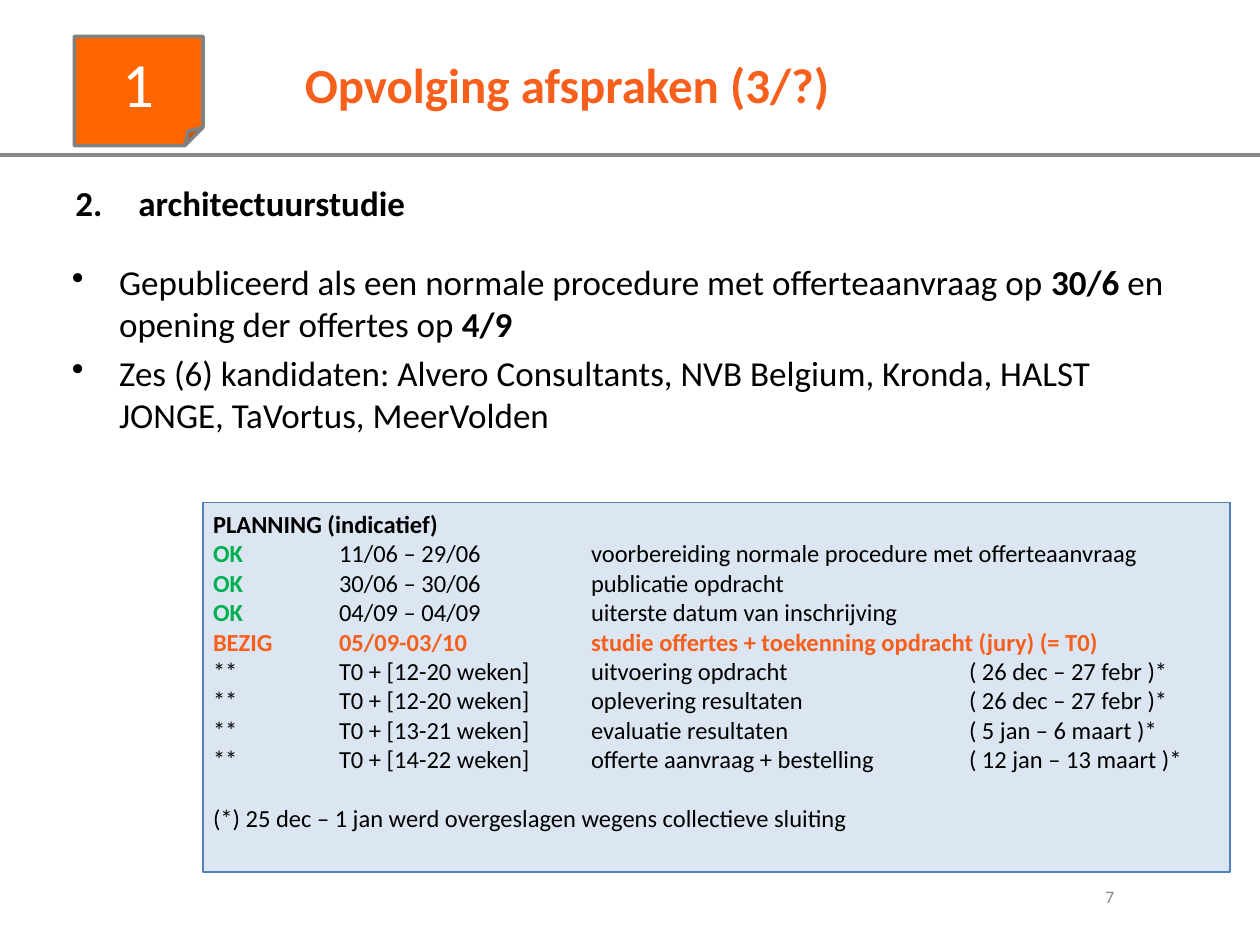
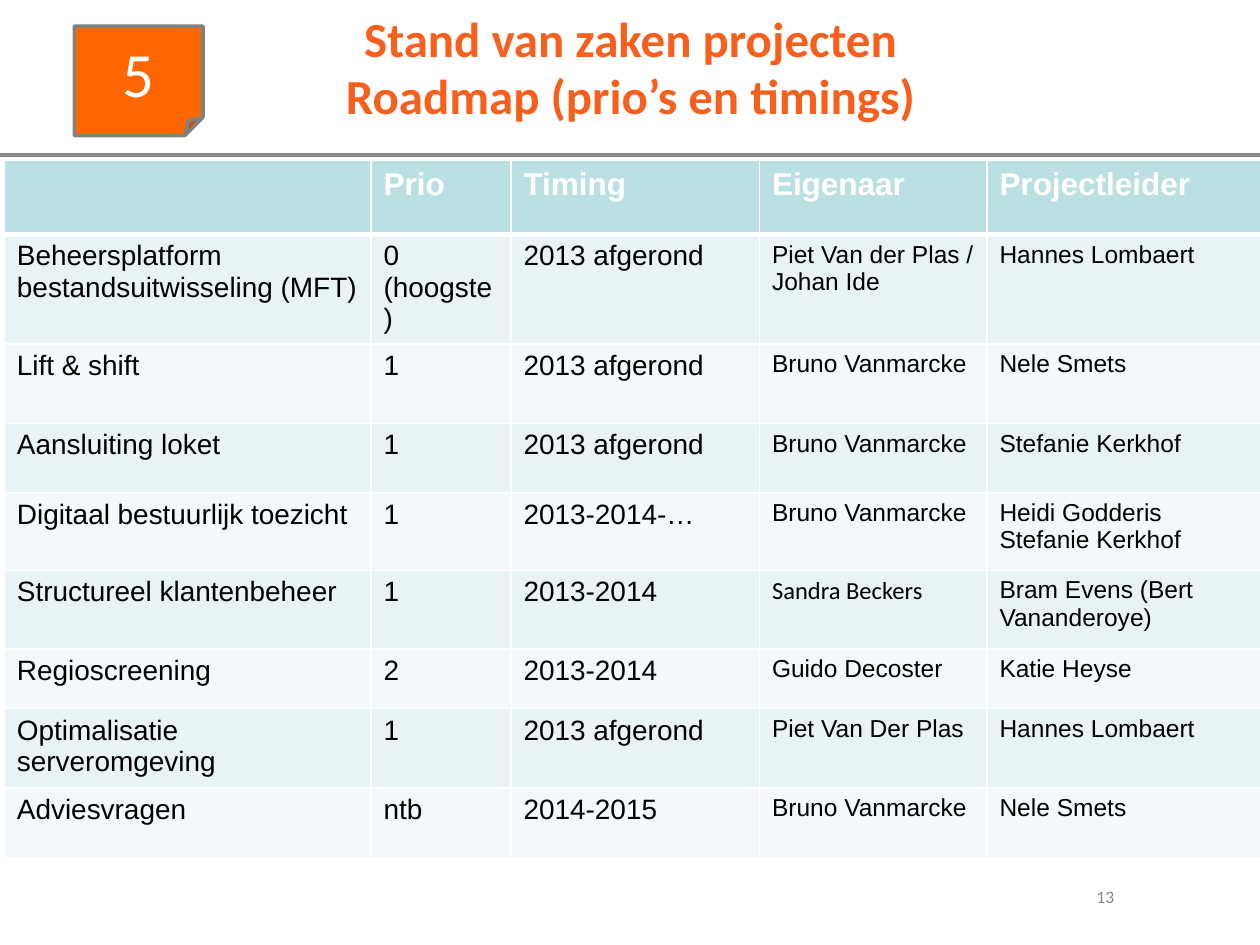
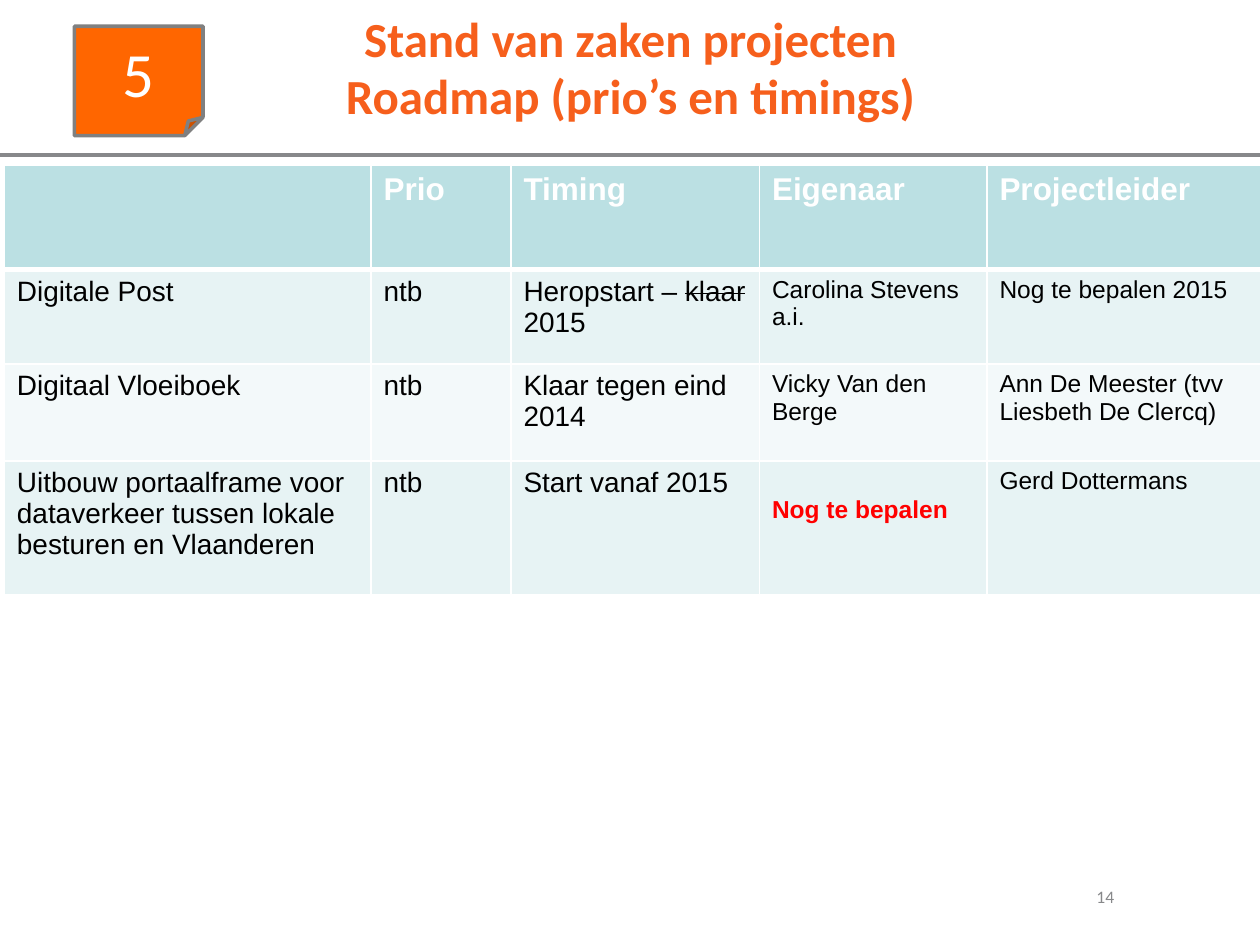
from dataclasses import dataclass

from lxml.etree import SubElement
from pptx import Presentation
from pptx.dml.color import RGBColor
from pptx.enum.shapes import MSO_CONNECTOR as Connector, MSO_SHAPE as Preset
from pptx.enum.text import MSO_ANCHOR as Anchor, MSO_AUTO_SIZE as AutoSize, PP_ALIGN as Align
from pptx.oxml.ns import qn
from pptx.util import Pt


@dataclass(frozen=True)
class Theme:
    font: str = "Calibri"
    table_font: str = "Arial"
    black: str = "000000"
    white: str = "FFFFFF"
    title: str = "F65F1C"
    gray: str = "87888A"
    badge: str = "FF6600"
    badge_line: str = "808080"
    done: str = "00B050"
    alert: str = "FF0000"
    panel: str = "DCE6F2"
    panel_line: str = "4F81BD"
    header_fill: str = "BBE0E3"
    row_fills: tuple = ("E7F3F4", "F3F9FA")
    title_size: float = 28
    badge_size: float = 36
    body_size: float = 20
    plan_size: float = 14
    number_size: float = 10
    header_size: float = 18
    cell_size: float = 16
    name_size: float = 14


THEME = Theme()
COLUMN_WIDTHS = (209.5, 80, 142, 130, 156.5)
HEADERS = ("", "Prio", "Timing", "Eigenaar", "Projectleider")


@dataclass(frozen=True)
class Span:
    text: str
    size: float = THEME.body_size
    color: str = THEME.black
    bold: bool = False
    font: str = THEME.font
    strike: bool = False


TITLE = {"size": THEME.title_size, "color": THEME.title, "bold": True}

PLANNING = (
    ("OK", "11/06 – 29/06", "voorbereiding normale procedure met offerteaanvraag"),
    ("OK", "30/06 – 30/06", "publicatie opdracht"),
    ("OK", "04/09 – 04/09", "uiterste datum van inschrijving"),
    ("BEZIG", "05/09-03/10", "studie offertes + toekenning opdracht (jury) (= T0)"),
    ("**", "T0 + [12-20 weken]", "uitvoering opdracht", "( 26 dec – 27 febr )*"),
    ("**", "T0 + [12-20 weken]", "oplevering resultaten", "( 26 dec – 27 febr )*"),
    ("**", "T0 + [13-21 weken]", "evaluatie resultaten", "( 5 jan – 6 maart )*"),
    ("**", "T0 + [14-22 weken]", "offerte aanvraag + bestelling", "( 12 jan – 13 maart )*"),
)

CURRENT_PROJECTS = (
    ("Beheersplatform bestandsuitwisseling (MFT)", "0 (hoogste)", "2013 afgerond",
     "Piet Van der Plas / Johan Ide", "Hannes Lombaert"),
    ("Lift & shift", "1", "2013 afgerond", "Bruno Vanmarcke", "Nele Smets"),
    ("Aansluiting loket", "1", "2013 afgerond", "Bruno Vanmarcke", "Stefanie Kerkhof"),
    ("Digitaal bestuurlijk toezicht", "1", "2013-2014-…", "Bruno Vanmarcke",
     "Heidi Godderis\nStefanie Kerkhof"),
    ("Structureel klantenbeheer", "1", "2013-2014",
     [Span("Sandra Beckers", THEME.name_size)], "Bram Evens (Bert Vananderoye)"),
    ("Regioscreening", "2", "2013-2014", "Guido Decoster", "Katie Heyse"),
    ("Optimalisatie serveromgeving", "1", "2013 afgerond", "Piet Van Der Plas", "Hannes Lombaert"),
    ("Adviesvragen", "ntb", "2014-2015", "Bruno Vanmarcke", "Nele Smets"),
)

NEW_PROJECTS = (
    ("Digitale Post", "ntb",
     [Span("Heropstart – ", THEME.cell_size, font=THEME.table_font),
      Span("klaar ", THEME.cell_size, font=THEME.table_font, strike=True),
      Span("2015", THEME.cell_size, font=THEME.table_font)],
     "Carolina Stevens a.i.", "Nog te bepalen 2015"),
    ("Digitaal Vloeiboek", "ntb", "Klaar tegen eind 2014", "Vicky Van den Berge",
     "Ann De Meester (tvv Liesbeth De Clercq)"),
    ("Uitbouw portaalframe voor dataverkeer tussen lokale besturen en Vlaanderen", "ntb",
     "Start vanaf 2015",
     [Span("Nog te bepalen", THEME.name_size, THEME.alert, True, THEME.table_font)],
     "Gerd Dottermans"),
)


def rgb(color):
    return RGBColor.from_string(color)


def bounds(left, top, width, height):
    return Pt(left), Pt(top), Pt(width), Pt(height)


def add_spans(para, spans):
    for item in spans:
        span = para.add_run()
        span.text = item.text
        span.font.name = item.font
        span.font.size = Pt(item.size)
        span.font.bold = item.bold
        span.font.color.rgb = rgb(item.color)
        if item.strike:
            span._r.get_or_add_rPr().set("strike", "sngStrike")


def fill_frame(frame, paragraphs, align=Align.LEFT, anchor=Anchor.TOP):
    frame.word_wrap = True
    frame.auto_size = AutoSize.NONE
    frame.vertical_anchor = anchor
    for index, spans in enumerate(paragraphs):
        para = frame.add_paragraph() if index else frame.paragraphs[0]
        para.alignment = align
        add_spans(para, spans)
    return frame


def add_text(page, box, paragraphs, align=Align.LEFT, anchor=Anchor.TOP):
    frame = page.shapes.add_textbox(*bounds(*box)).text_frame
    return fill_frame(frame, paragraphs, align, anchor)


def add_panel(page, preset, box, fill, line, width):
    panel = page.shapes.add_shape(preset, *bounds(*box))
    panel.shadow.inherit = False
    panel.fill.solid()
    panel.fill.fore_color.rgb = rgb(fill)
    panel.line.color.rgb = rgb(line)
    panel.line.width = Pt(width)
    return panel


def set_bullet(para, indent, tag, **attributes):
    properties = para._p.get_or_add_pPr()
    properties.set("marL", str(Pt(indent)))
    properties.set("indent", str(-Pt(indent)))
    SubElement(properties, qn(tag), attributes)


def set_tabs(para, stops):
    tabs = SubElement(para._p.get_or_add_pPr(), qn("a:tabLst"))
    for stop in stops:
        SubElement(tabs, qn("a:tab"), pos=str(Pt(stop)), algn="l")


def set_borders(cell, bottom):
    properties = cell._tc.get_or_add_tcPr()
    sides = (("a:lnL", 1), ("a:lnR", 1), ("a:lnT", 1), ("a:lnB", bottom))
    for index, (tag, width) in enumerate(sides):
        border = SubElement(properties, qn(tag), w=str(Pt(width)))
        SubElement(SubElement(border, qn("a:solidFill")), qn("a:srgbClr"), val=THEME.white)
        properties.insert(index, border)


def add_page(deck, title, title_box, title_align, badge, badge_top, number):
    page = deck.slides.add_slide(deck.slide_layouts[5])
    heading = page.shapes.title
    heading.left, heading.top, heading.width, heading.height = bounds(*title_box)
    fill_frame(heading.text_frame, [[Span(title, **TITLE)]], title_align, Anchor.MIDDLE)

    rule = page.shapes.add_connector(Connector.STRAIGHT, Pt(0), Pt(88.5), Pt(720), Pt(88.5))
    rule.line.color.rgb = rgb(THEME.gray)
    rule.line.width = Pt(2.25)
    SubElement(rule._element.spPr, qn("a:effectLst"))

    note = add_panel(page, Preset.FOLDED_CORNER, (42.5, badge_top, 73.5, 62.5),
                     THEME.badge, THEME.badge_line, 2)
    fill_frame(note.text_frame, [[Span(badge, THEME.badge_size, THEME.white)]],
               Align.CENTER, Anchor.MIDDLE)
    add_text(page, (516.25, 502.5, 127.5, 26.5),
             [[Span(number, THEME.number_size, THEME.gray)]], Align.RIGHT)
    return page


def planning_spans(row):
    status, rest = row[0], "\t" + "\t".join(row[1:])
    size = THEME.plan_size
    if status == "BEZIG":
        return [Span(status + rest, size, THEME.title, True)]
    done = status == "OK"
    return [Span(status, size, THEME.done if done else THEME.black, done), Span(rest, size)]


def add_planning(page):
    panel = add_panel(page, Preset.RECTANGLE, (116, 287.25, 587, 211),
                      THEME.panel, THEME.panel_line, 0.75)
    size = THEME.plan_size
    lines = [[Span("PLANNING (indicatief)", size, bold=True)]]
    lines += [planning_spans(row) for row in PLANNING]
    lines.append([Span("(*) 25 dec – 1 jan werd overgeslagen wegens collectieve sluiting", size)])
    frame = fill_frame(panel.text_frame, lines)
    frame.margin_left = Pt(5.75)
    for para in frame.paragraphs:
        set_tabs(para, (72, 216, 432))
    frame.paragraphs[-1].space_before = Pt(17)


def add_project_table(page, top, heights, projects):
    rows = (HEADERS,) + projects
    box = bounds(2.5, top, sum(COLUMN_WIDTHS), sum(heights))
    table = page.shapes.add_table(len(rows), len(HEADERS), *box).table
    for column, width in zip(table.columns, COLUMN_WIDTHS):
        column.width = Pt(width)
    for r, (row, height) in enumerate(zip(rows, heights)):
        table.rows[r].height = Pt(height)
        for c, content in enumerate(row):
            fill_cell(table.cell(r, c), content, r, c)
    return table


def fill_cell(cell, content, row, column):
    header = row == 0
    cell.fill.solid()
    cell.fill.fore_color.rgb = rgb(THEME.header_fill if header else THEME.row_fills[(row - 1) % 2])
    set_borders(cell, 3 if header else 1)
    if header:
        size, color = THEME.header_size, THEME.white
    else:
        size, color = (THEME.cell_size if column < 3 else THEME.name_size), THEME.black
    if isinstance(content, str):
        lines = [[Span(line, size, color, header, THEME.table_font)]
                 for line in content.split("\n") if line]
    else:
        lines = [content]
    for index, spans in enumerate(lines):
        frame = cell.text_frame
        add_spans(frame.add_paragraph() if index else frame.paragraphs[0], spans)


def add_agreements_page(deck):
    page = add_page(deck, "Opvolging afspraken (3/?)", (167, 26, 516, 44), Align.LEFT, "1", 20.75, "7")
    frame = add_text(page, (36, 100, 648, 45), [[Span("architectuurstudie", bold=True)]])
    set_bullet(frame.paragraphs[0], 36, "a:buAutoNum", type="arabicPeriod", startAt="2")
    frame = add_text(page, (34, 145.5, 648, 120), [
        [Span("Gepubliceerd als een normale procedure met offerteaanvraag op "),
         Span("30/6", bold=True), Span(" en opening der offertes op "), Span("4/9", bold=True)],
        [Span("Zes (6) kandidaten: Alvero Consultants, NVB Belgium, Kronda, HALST "
              "JONGE, TaVortus, MeerVolden")],
    ])
    for para in frame.paragraphs:
        set_bullet(para, 27, "a:buChar", char="•")
    frame.paragraphs[1].space_before = Pt(4)
    add_planning(page)


def add_roadmap_page(deck, number, top, heights, projects):
    page = add_page(deck, "Roadmap (prio’s en timings)", (36.5, 32, 647.5, 44),
                    Align.CENTER, "5", 15, number)
    add_text(page, (36.5, 0, 647.5, 43.5), [[Span("Stand van zaken projecten", **TITLE)]],
             Align.CENTER, Anchor.MIDDLE)
    return add_project_table(page, top, heights, projects)


def main():
    deck = Presentation()
    deck.slide_width, deck.slide_height = Pt(720), Pt(540)
    add_agreements_page(deck)
    add_roadmap_page(deck, "13", 91.5, (42.5, 62.5, 45.5, 39.5, 44.5, 45, 34, 45.5, 39.5),
                     CURRENT_PROJECTS)
    table = add_roadmap_page(deck, "14", 94.5, (59.5, 54, 55.5, 76.5), NEW_PROJECTS)
    table.cell(3, 3).margin_top = Pt(20)
    deck.save("out.pptx")


if __name__ == "__main__":
    main()
